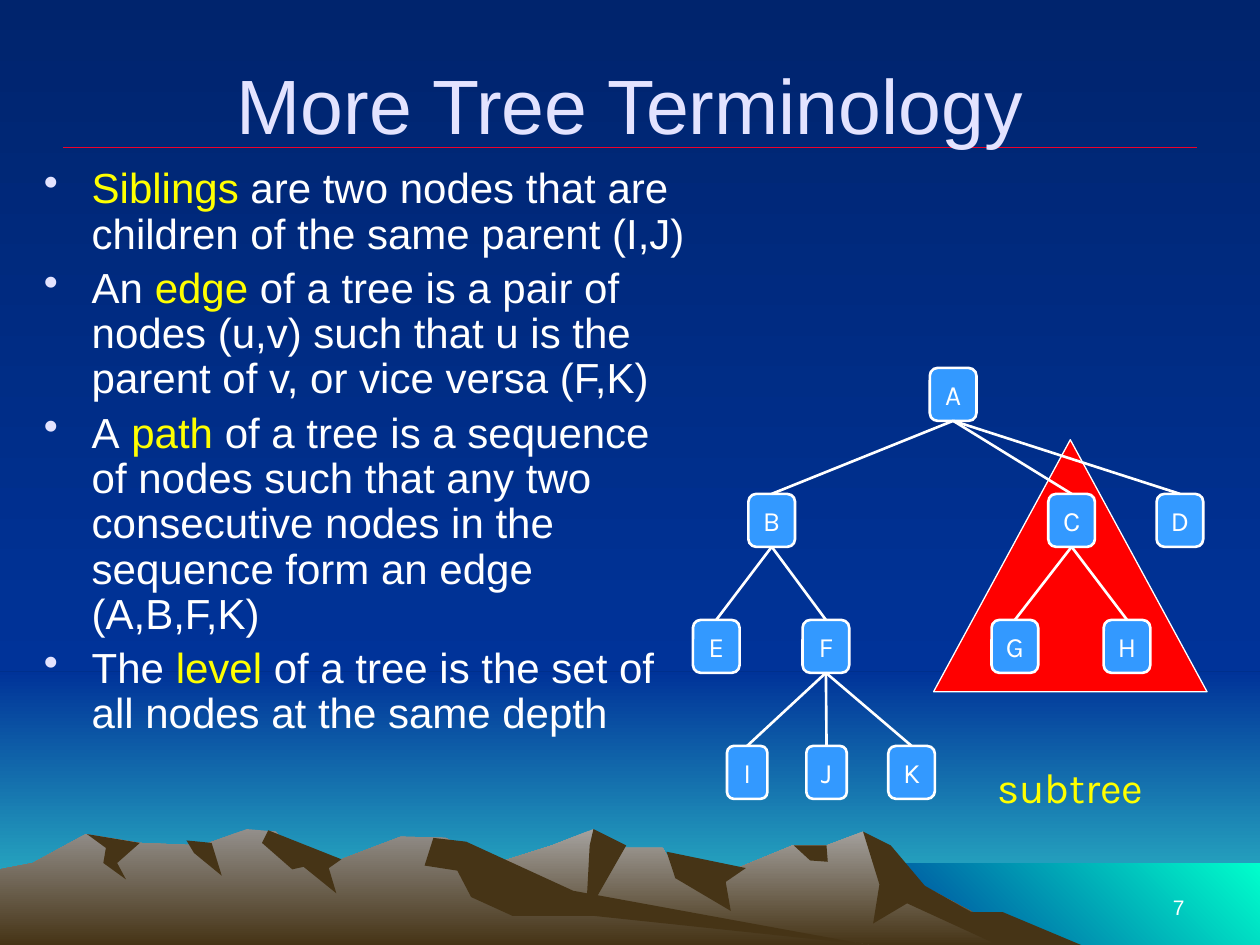
from pptx import Presentation, util as u
from pptx.dml.color import RGBColor
from pptx.enum import shapes as es, text as et
from pptx.oxml.ns import qn
from lxml import etree

PX = 9144  # EMU per px: the slide is 1000 by 750 px
WIDE, HIGH = 1000, 750

THEME = {
    "night": "00246D", "blue": "003399", "dusk": "33CCCC", "sea": "00FFCC",
    "far": "A5A29F", "near": "938F8B", "shade": "463416",
    "rule": "EF0129", "pale": "E3E3FF", "white": "FFFFFF", "key": "FFFF00",
    "node": "3399FF", "sub": "FF0000",
    "sans": "Arial", "label": "Karla",
    "title": 44, "body": 24, "name": 16, "num": 12,
}

# Text: each bullet is a list of (words, colour)
TITLE = "More Tree Terminology"
BULLETS = [
    [("Siblings ", "key"),
     ("are two nodes that are children of the same parent (I,J)", "white")],
    [("An ", "white"), ("edge ", "key"),
     ("of a tree is a pair of nodes (u,v) such that u is the parent of v, "
      "or vice versa (F,K)", "white")],
    [("A", "white"), (" path ", "key"),
     ("of a tree is a sequence of nodes such that any two consecutive nodes "
      "in the sequence form an edge (A,B,F,K)", "white")],
    [("The ", "white"), ("level ", "key"),
     ("of a tree is the set of all nodes at the same depth", "white")],
]

# Tree: node name -> middle, one dict per level; then parent -> children
LEVELS = [
    {"A": 756},
    {"B": 612, "C": 850, "D": 936},
    {"E": 568, "F": 655, "G": 805, "H": 894},
    {"I": 593, "J": 656, "K": 723},
]
KIDS = {"A": "BCD", "B": "EF", "C": "GH", "F": "IJK"}
FIRST, STEP, TALL = 292, 100, 42
SLIM, BROAD = 32, 37

# Backdrop: (box, from, to, clockwise angle)
SHORE = 533
BANDS = [
    ((0, SHORE, WIDE, HIGH - SHORE), "blue", "dusk", 90),
    ((0, 0, WIDE, SHORE), "night", "blue", 90),
    ((683, 685, 317, 65), "blue", "sea", 315),
]

# Mountains, back to front: (top colour, outline)
PEAKS = [
    ("far", [(821, HIGH), (723, 698), (685, 660), (656, 671), (629, 671),
             (566, 697), (536, 690), (526, 673), (486, 673), (471, 658),
             (438, 671), (394, 685), (327, 709), (258, HIGH)]),
    ("shade", [(858, HIGH), (796, 724), (771, 724), (734, 703), (707, 671),
               (685, 660), (698, 702), (693, 733), (720, 717), (792, HIGH)]),
    ("shade", [(471, 658), (468, 671), (465, 727), (497, 671)]),
    ("shade", [(529, 676), (536, 697), (580, 723), (576, 700), (592, 689)]),
    ("shade", [(656, 671), (630, 671), (643, 683), (657, 684)]),
    ("near", [(690, HIGH), (432, 712), (354, 665), (318, 664), (271, 682),
              (236, 681), (219, 660), (196, 658), (160, 671), (111, 669),
              (68, 662), (26, 685), (0, 690), (0, HIGH)]),
    ("shade", [(213, 659), (208, 669), (232, 690), (241, 688), (267, 709),
               (261, 689), (271, 682)]),
    ("shade", [(370, 668), (344, 665), (337, 687), (363, 691), (374, 712),
               (407, 727), (472, 727), (690, HIGH), (455, 707)]),
    ("shade", [(148, 667), (168, 669), (176, 695), (154, 677)]),
    ("shade", [(69, 662), (111, 669), (93, 685), (100, 698), (82, 685),
               (84, 673)]),
]


def tint(key):
    return RGBColor.from_string(THEME[key])


def px(*vals):
    return [u.Emu(v * PX) for v in vals]


def paint(fill, top, end=None, turn=90):
    """Solid fill, or a gradient when there is another end colour."""
    if end in (None, top):
        fill.solid()
        fill.fore_color.rgb = tint(top)
        return
    fill.gradient()
    fill.gradient_angle = 360 - turn
    for stop, key in zip(fill.gradient_stops, (top, end)):
        stop.color.rgb = tint(key)


def edge(line, key, width):
    line.color.rgb = tint(key)
    line.width = u.Pt(width)


def plain(shape):
    shape.shadow.inherit = False
    shape.line.fill.background()
    return shape


def rod(deck, ends, key, width):
    line = deck.add_connector(es.MSO_CONNECTOR.STRAIGHT, *px(*ends))
    edge(line.line, key, width)
    etree.SubElement(line.element.spPr, qn("a:effectLst"))
    return line


def put(par, words, key, size, face="sans"):
    run = par.add_run()
    run.text = words
    look = {"size": u.Pt(THEME[size]), "name": THEME[face], "bold": False}
    for attr, val in look.items():
        setattr(run.font, attr, val)
    run.font.color.rgb = tint(key)


def frame(shape, align, **form):
    """Format the text frame and return its first paragraph."""
    box = shape.text_frame
    form = {"word_wrap": True, "auto_size": et.MSO_AUTO_SIZE.NONE, **form}
    for attr, val in form.items():
        setattr(box, attr, val)
    box.paragraphs[0].alignment = align
    return box.paragraphs[0]


def dot(par):
    prop = par._p.get_or_add_pPr()
    prop.set("marL", str(38 * PX))
    prop.set("indent", str(-38 * PX))
    hue = etree.SubElement(prop, qn("a:buClr"))
    etree.SubElement(hue, qn("a:srgbClr"), val=THEME["pale"])
    etree.SubElement(prop, qn("a:buChar"), char="•")


def scene(slide):
    deck = slide.shapes
    paint(slide.background.fill, "night", "blue")
    for box, top, end, turn in BANDS:
        band = plain(deck.add_shape(es.MSO_SHAPE.RECTANGLE, *px(*box)))
        paint(band.fill, top, end, turn)
    for top, (start, *rest) in PEAKS:
        pen = deck.build_freeform(*start, scale=PX)
        pen.add_line_segments(rest, close=True)
        paint(plain(pen.convert_to_shape()).fill, top, "shade")
    rod(deck, (50, 117, 950, 117), "rule", 0.75)


def words(slide):
    deck = slide.shapes
    # Title, raised above the backdrop
    title = deck.title
    title.element.getparent().append(title.element)
    title.left, title.top, title.width, title.height = px(50, 30, 900, 105)
    par = frame(title, et.PP_ALIGN.CENTER, vertical_anchor=et.MSO_ANCHOR.MIDDLE)
    put(par, TITLE, "pale", "title")
    # Bullets
    body = deck.add_textbox(*px(25, 125, 533, 525))
    par = frame(body, et.PP_ALIGN.LEFT, margin_top=px(8)[0])
    for num, parts in enumerate(BULLETS):
        if num:
            par = body.text_frame.add_paragraph()
            par.space_before = u.Pt(5)
        par.line_spacing = 0.9
        dot(par)
        for text, key in parts:
            put(par, text, key, "body")
    # Page number
    page = deck.add_textbox(*px(717, 683, 233, 52))
    par = frame(page, et.PP_ALIGN.RIGHT, vertical_anchor=et.MSO_ANCHOR.BOTTOM)
    put(par, "7", "white", "num")


def tree(slide):
    deck = slide.shapes
    # Subtree marker with its label below
    sub = deck.add_shape(es.MSO_SHAPE.ISOSCELES_TRIANGLE, *px(741, 349, 217, 200))
    sub.shadow.inherit = False
    paint(sub.fill, "sub")
    edge(sub.line, "white", 0.75)
    par = frame(sub, et.PP_ALIGN.CENTER, word_wrap=False, margin_top=px(290)[0],
                margin_bottom=0, vertical_anchor=et.MSO_ANCHOR.BOTTOM)
    put(par, "subtree", "key", "body", "label")
    # Nodes
    nodes = {}
    for depth, level in enumerate(LEVELS):
        for name, mid in level.items():
            wide = SLIM if name in "IJ" else BROAD
            node = deck.add_shape(
                es.MSO_SHAPE.ROUNDED_RECTANGLE,
                *px(mid - wide // 2, FIRST + depth * STEP, wide, TALL))
            node.shadow.inherit = False
            paint(node.fill, "node")
            edge(node.line, "white", 1.5)
            par = frame(node, et.PP_ALIGN.CENTER, word_wrap=False,
                        vertical_anchor=et.MSO_ANCHOR.MIDDLE)
            put(par, name, "white", "name", "label")
            nodes[name] = node
    # Edges
    for name, kids in KIDS.items():
        for kid in kids:
            line = rod(deck, (0, 0, 0, 0), "white", 1.5)
            line.begin_connect(nodes[name], 2)
            line.end_connect(nodes[kid], 0)


def main():
    show = Presentation()
    show.slide_width, show.slide_height = px(WIDE, HIGH)
    slide = show.slides.add_slide(show.slide_layouts[5])
    scene(slide)
    words(slide)
    tree(slide)
    show.save("out.pptx")


if __name__ == "__main__":
    main()
